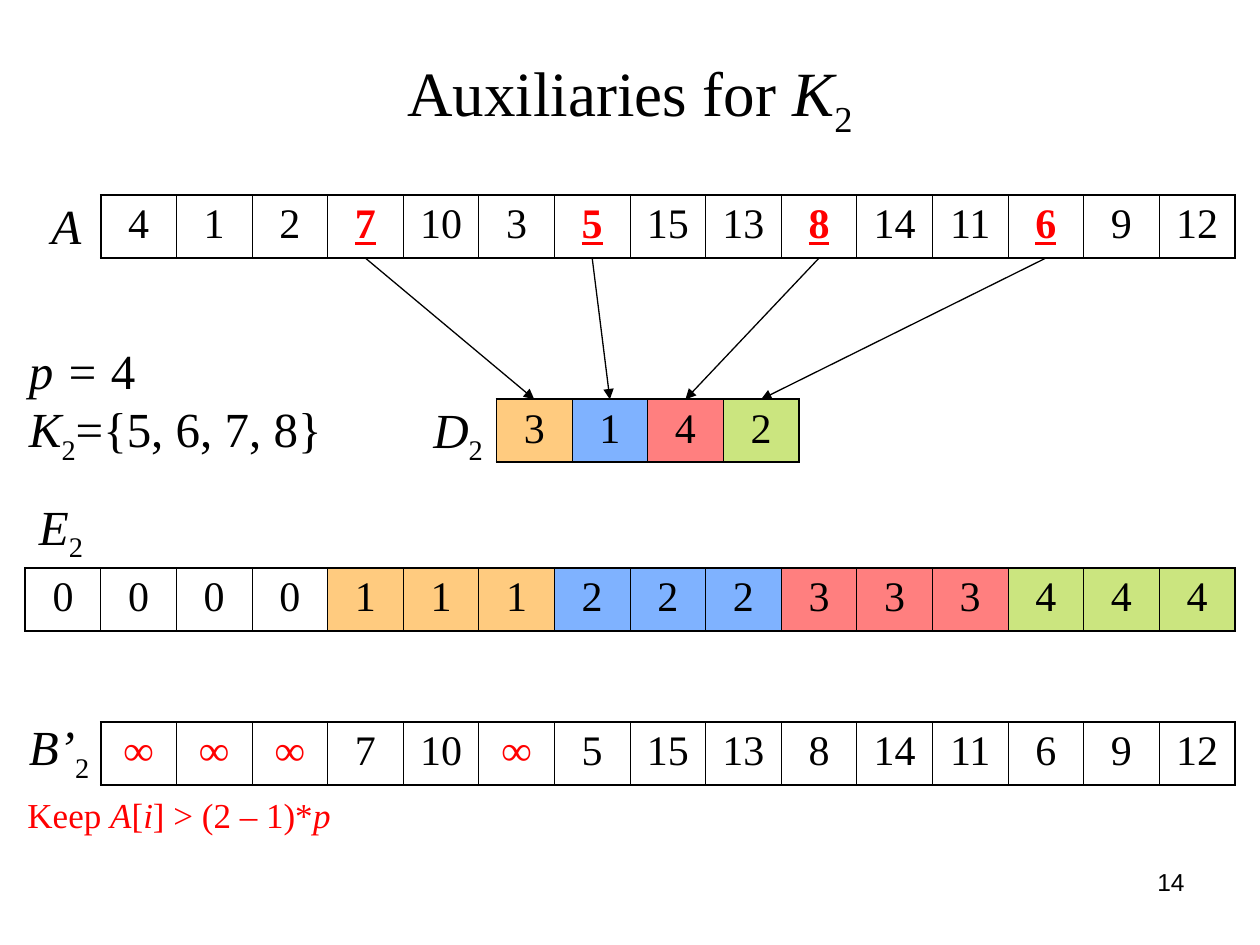
import pptx
import pptx.dml.color
import pptx.enum.shapes
import pptx.enum.text
import pptx.oxml.ns
import pptx.util
import lxml.etree

Pt = pptx.util.Pt
Align = pptx.enum.text.PP_ALIGN
Anchor = pptx.enum.text.MSO_ANCHOR
BLACK = pptx.dml.color.RGBColor(0x00, 0x00, 0x00)
RED = pptx.dml.color.RGBColor(0xFF, 0x00, 0x00)
ORANGE = pptx.dml.color.RGBColor(0xFF, 0x99, 0x00)
BLUE = pptx.dml.color.RGBColor(0x00, 0x66, 0xFF)
GREEN = pptx.dml.color.RGBColor(0x99, 0xCC, 0x00)
SERIF = "Times New Roman"
CELL_WIDTH = 43.2
CELL_HEIGHT = 36

ARRAY_VALUES = [4, 1, 2, 7, 10, 3, 5, 15, 13, 8, 14, 11, 6, 9, 12]
KEY_SET = {5, 6, 7, 8}
PROCESSORS = 4
GROUP_COLORS = [None, ORANGE, BLUE, RED, GREEN]
ARRAY_BOX = (57.6, 111.5)
ORDER_BOX = (283.7, 228.2)
COUNT_BOX = (14.4, 324.7)
FILTERED_BOX = (57.6, 412.6)


def add_element(parent, tag, **attributes):
    """Append a drawing element to a parent and return it."""
    return lxml.etree.SubElement(parent, pptx.oxml.ns.qn(tag), attributes)


def write_runs(paragraph, parts, size, color=BLACK, font_name=SERIF):
    """Write (text, style) parts, where style is plain, italic or sub."""
    for text, style in parts:
        run = paragraph.add_run()
        run.text = text
        run.font.size = Pt(size)
        run.font.name = font_name
        run.font.color.rgb = color
        run.font.italic = style == "italic"
        if style == "sub":
            run.font._element.set("baseline", "-25000")


def place_title(slide, left, top, width, height):
    """Move and format the title placeholder."""
    title = slide.shapes.title
    title.left, title.top, title.width, title.height = map(Pt, (left, top, width, height))
    frame = title.text_frame
    frame.auto_size = pptx.enum.text.MSO_AUTO_SIZE.NONE
    frame.vertical_anchor = Anchor.MIDDLE
    frame.paragraphs[0].alignment = Align.CENTER
    write_runs(frame.paragraphs[0], [("Auxiliaries for ", "plain"), ("K", "italic"), ("2", "sub")], 36)


def add_label(slide, box, lines, size=28, color=BLACK, font_name=SERIF, align=Align.LEFT, wrap=False):
    """Add a text box with one paragraph for each line of parts."""
    frame = slide.shapes.add_textbox(*map(Pt, box)).text_frame
    frame.word_wrap = wrap
    for index, parts in enumerate(lines):
        paragraph = frame.add_paragraph() if index else frame.paragraphs[0]
        paragraph.alignment = align
        write_runs(paragraph, parts, size, color, font_name)


def set_borders(cell, first, last):
    """Draw thick outer and thin inner borders around a cell."""
    widths = {"L": 1.08 if first else 0.45, "R": 1.08 if last else 0.45, "T": 1.08, "B": 1.08}
    properties = cell._tc.get_or_add_tcPr()
    for position, (side, width) in enumerate(widths.items()):
        line = add_element(properties, "a:ln" + side, w=str(int(Pt(width))))
        add_element(add_element(line, "a:solidFill"), "a:srgbClr", val=str(BLACK))
        properties.insert(position, line)


def fill_cell(cell, color):
    """Fill a cell with a half-transparent color, or leave it clear."""
    if color is None:
        cell.fill.background()
        return
    cell.fill.solid()
    cell.fill.fore_color.rgb = color
    color_element = cell._tc.tcPr.find(".//" + pptx.oxml.ns.qn("a:srgbClr"))
    add_element(color_element, "a:alpha", val="50000")


def add_array(slide, box, values, fills=None, marked=(), underline=False):
    """Add a one-row table of values, with marked values in bold red."""
    count = len(values)
    left, top = box
    table = slide.shapes.add_table(
        1, count, Pt(left), Pt(top), Pt(CELL_WIDTH * count), Pt(CELL_HEIGHT)
    ).table
    table.first_row = False
    table.horz_banding = False
    for index, value in enumerate(values):
        table.columns[index].width = Pt(CELL_WIDTH)
        cell = table.cell(0, index)
        fill_cell(cell, fills[index] if fills else None)
        set_borders(cell, index == 0, index == count - 1)
        paragraph = cell.text_frame.paragraphs[0]
        paragraph.alignment = Align.CENTER
        is_marked = value in marked
        write_runs(paragraph, [(str(value), "plain")], 24, RED if is_marked else BLACK)
        paragraph.runs[0].font.bold = is_marked
        paragraph.runs[0].font.underline = is_marked and underline


def add_arrows(slide, source_box, target_box, source_indexes):
    """Link the chosen source cells to successive target cells."""
    for target_index, source_index in enumerate(source_indexes):
        connector = slide.shapes.add_connector(
            pptx.enum.shapes.MSO_CONNECTOR.STRAIGHT,
            Pt(source_box[0] + CELL_WIDTH * (source_index + 0.5)),
            Pt(source_box[1] + CELL_HEIGHT),
            Pt(target_box[0] + CELL_WIDTH * (target_index + 0.5)),
            Pt(target_box[1]),
        )
        connector.line.color.rgb = BLACK
        connector.line.width = Pt(0.75)
        add_element(connector.line._get_or_add_ln(), "a:tailEnd", type="triangle")
        add_element(connector._element.spPr, "a:effectLst")


def build_slide(presentation):
    """Build the slide of auxiliary arrays."""
    slide = presentation.slides.add_slide(presentation.slide_layouts[5])
    place_title(slide, 36, 10, 648, 90)

    key_indexes = [index for index, value in enumerate(ARRAY_VALUES) if value in KEY_SET]
    order = [sorted(KEY_SET).index(ARRAY_VALUES[index]) + 1 for index in key_indexes]
    counts = [sum(key < index for key in key_indexes) for index in range(len(ARRAY_VALUES) + 1)]
    filtered = [value if value > PROCESSORS else "∞" for value in ARRAY_VALUES]

    add_array(slide, ARRAY_BOX, ARRAY_VALUES, marked=KEY_SET, underline=True)
    add_array(slide, ORDER_BOX, order, fills=GROUP_COLORS[1:])
    add_array(slide, COUNT_BOX, counts, fills=[GROUP_COLORS[count] for count in counts])
    add_array(slide, FILTERED_BOX, filtered, marked={"∞"})
    add_arrows(slide, ARRAY_BOX, ORDER_BOX, key_indexes)

    add_label(slide, (22.3, 108, 31.7, 41), [[("A", "italic")]])
    add_label(slide, (240.5, 224.6, 42.5, 45.4), [[("D", "italic"), ("2", "sub")]])
    add_label(slide, (15.1, 280.1, 39.6, 45.4), [[("E", "italic"), ("2", "sub")]])
    add_label(slide, (9.4, 406.1, 49, 45.4), [[("B’", "italic"), ("2", "sub")]])
    add_label(slide, (9.4, 190.8, 181.4, 79.2), [
        [("p = ", "italic"), ("4", "plain")],
        [("K", "italic"), ("2", "sub"), ("={5, 6, 7, 8}", "plain")],
    ])
    condition = [("Keep ", "plain"), ("A", "italic"), ("[", "plain"), ("i", "italic"),
                 ("] > (2 – 1)*", "plain"), ("p", "italic")]
    add_label(slide, (8.6, 450, 193, 31.7), [condition], size=20, color=RED, wrap=True)
    add_label(slide, (516.2, 491.8, 167.8, 37.4), [[("14", "plain")]], size=14,
              font_name="Arial", align=Align.RIGHT, wrap=True)


def main():
    """Create and save the presentation."""
    presentation = pptx.Presentation()
    presentation.slide_width = Pt(720)
    presentation.slide_height = Pt(540)
    build_slide(presentation)
    presentation.save("out.pptx")


if __name__ == "__main__":
    main()
